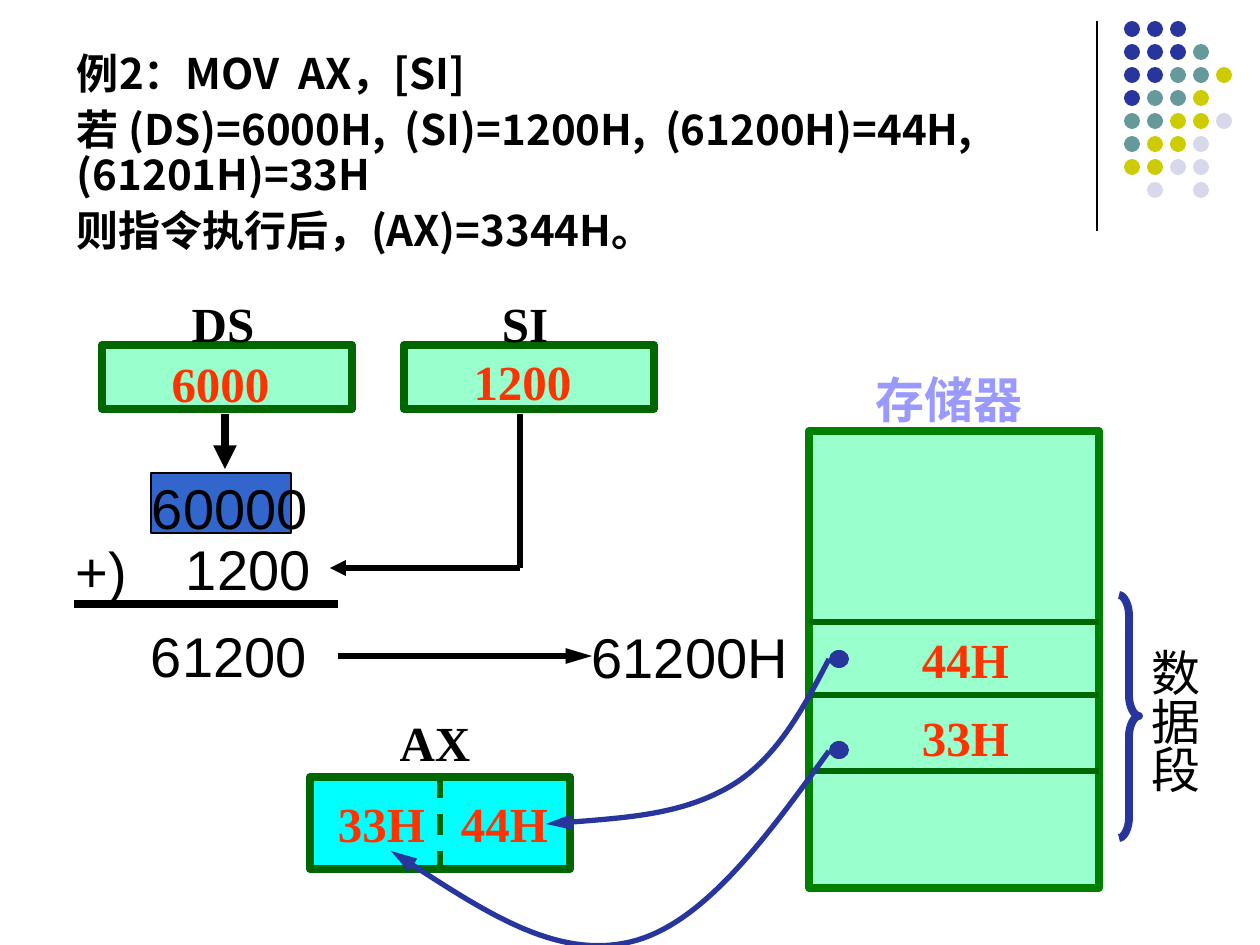
"""Build the slide on register-indirect addressing with MOV AX, [SI]."""
import pptx
import pptx.dml.color
import pptx.enum.dml
import pptx.enum.shapes
import pptx.enum.text
import pptx.oxml
import pptx.oxml.ns
import pptx.util

SCALE = 914400 / 126
CJK, SERIF, SANS = "Noto Sans CJK SC", "Times New Roman", "Arial"
BLACK, RED, NAVY = "000000", "FF3300", "27359D"
DARK_GREEN, MINT = "006600", "99FFCC"
ALIGN = pptx.enum.text.PP_ALIGN
PRESET = pptx.enum.shapes.MSO_SHAPE
DOT_COLOURS = {"N": NAVY, "T": "669999", "Y": "CCCC00", "L": "D8D8EC"}
DOT_ROWS = ["NNN", "NNNT", "NNTTY", "NTTY", "TTYYL", "TYYL", "YYLL", "-L-L"]
HEADING = [
    "例2：MOV  AX，[SI]",
    "若 (DS)=6000H,  (SI)=1200H,  (61200H)=44H,  (61201H)=33H",
    "则指令执行后，(AX)=3344H。",
]


def px(length):
    """Turn px into EMU."""
    return pptx.util.Emu(round(length * SCALE))


def rgb(colour):
    """Turn a hex string into a colour."""
    return pptx.dml.color.RGBColor.from_string(colour)


def set_all(target, values):
    """Set each named attribute on the target."""
    for name, value in values.items():
        setattr(target, name, value)


def add_xml(parent, tag, **attributes):
    """Append a DrawingML element to the parent."""
    element = pptx.oxml.parse_xml(f"<{tag} {pptx.oxml.ns.nsdecls('a')}/>")
    for name, value in attributes.items():
        element.set(name, value)
    parent.append(element)
    return element


def style_line(shape, colour, width, arrow=None):
    """Colour a line and give its end an arrowhead of the given length."""
    shape.line.color.rgb = rgb(colour)
    shape.line.width = pptx.util.Pt(width)
    if arrow:
        outline = shape._element.spPr.find(pptx.oxml.ns.qn("a:ln"))
        add_xml(outline, "a:tailEnd", type="triangle", w="med", len=arrow)


def add_block(slide, box, fill, line=None, width=4.5, preset=PRESET.RECTANGLE):
    """Add a filled preset shape."""
    block = slide.shapes.add_shape(preset, *map(px, box))
    block.shadow.inherit = False
    block.fill.solid()
    block.fill.fore_color.rgb = rgb(fill)
    if line:
        style_line(block, line, width)
    else:
        block.line.fill.background()
    return block


def add_line(slide, start, end, colour=BLACK, width=3, arrow=None):
    """Add a straight connector."""
    line = slide.shapes.add_connector(
        pptx.enum.shapes.MSO_CONNECTOR.STRAIGHT, *map(px, start + end))
    style_line(line, colour, width, arrow)
    add_xml(line._element.spPr, "a:effectLst")
    return line


def add_curve(slide, start, controls, width=3, arrow=None):
    """Add an open outline of cubic curves, three control points to each."""
    builder = slide.shapes.build_freeform(*start, scale=SCALE)
    builder.add_line_segments(controls, close=False)
    curve = builder.convert_to_shape()
    curve.shadow.inherit = False
    curve.fill.background()
    style_line(curve, NAVY, width, arrow)
    outline = curve._element.xpath(".//a:path")[0]
    segments = outline.findall(pptx.oxml.ns.qn("a:lnTo"))
    for first in range(0, len(segments), 3):
        cubic = add_xml(outline, "a:cubicBezTo")
        for segment in segments[first:first + 3]:
            cubic.append(segment[0])
            outline.remove(segment)


def add_text(slide, box, lines, size, font=SERIF, colour=BLACK, bold=False,
             wrap=False, vertical=False, paragraph_format=None):
    """Add a text box without insets, one paragraph to each line."""
    frame = slide.shapes.add_textbox(*map(px, box)).text_frame
    set_all(frame, {"margin_left": 0, "margin_right": 0, "margin_top": 0,
                    "margin_bottom": 0, "word_wrap": wrap})
    if vertical:
        frame._txBody.bodyPr.set("vert", "eaVert")
    for index, line in enumerate(lines):
        paragraph = frame.add_paragraph() if index else frame.paragraphs[0]
        set_all(paragraph, paragraph_format or {})
        if index:
            paragraph.space_before = pptx.util.Pt(6)
        run = paragraph.add_run()
        run.text = line
        set_all(run.font, {"name": font, "size": pptx.util.Pt(size), "bold": bold})
        run.font.color.rgb = rgb(colour)
        add_xml(run._r.get_or_add_rPr(), "a:ea", typeface=CJK)


def add_label(slide, box, text, colour=RED, align=ALIGN.LEFT):
    """Add a bold serif label for a register or a value."""
    add_text(slide, box, [text], 28, colour=colour, bold=True, wrap=True,
             paragraph_format={"alignment": align})


def add_number(slide, box, text, align=ALIGN.LEFT):
    """Add a number of the address sum."""
    add_text(slide, box, [text], 32, SANS, wrap=True,
             paragraph_format={"alignment": align})


def add_dots(slide):
    """Add the dot grid and the rule beside it."""
    add_line(slide, (1097, 21), (1097, 231), width=0.75)
    for row, colours in enumerate(DOT_ROWS):
        for column, key in enumerate(colours):
            if key in DOT_COLOURS:
                add_block(slide, (1124 + 23 * column, 21 + 23 * row, 16, 16),
                          DOT_COLOURS[key], preset=PRESET.OVAL)


def add_memory(slide):
    """Add the memory column with its cells and the data segment brace."""
    add_block(slide, (809, 431, 290, 457), MINT, "008000")
    for y in (622, 695, 771):
        add_line(slide, (809, y), (1099, y), DARK_GREEN)
    add_label(slide, (922, 630, 90, 59), "44H")
    add_label(slide, (922, 708, 90, 59), "33H")
    add_label(slide, (876, 370, 160, 59), "存储器", "9999FF")
    add_curve(slide, (1119, 595), [
        (1124, 595), (1129, 605), (1129, 615),
        (1129, 615), (1129, 696), (1129, 696),
        (1129, 706), (1134, 716), (1139, 716),
        (1134, 716), (1129, 726), (1129, 736),
        (1129, 736), (1129, 818), (1129, 818),
        (1129, 828), (1124, 838), (1119, 838)], 4.5)
    add_text(slide, (1145, 648, 59, 155), ["数据段"], 28, wrap=True, vertical=True)


def add_address_sum(slide):
    """Add the DS and SI registers and the sum that gives the address."""
    for left, name, value, value_top in ((102, "DS", "6000", 354),
                                         (404, "SI", "1200", 352)):
        add_block(slide, (left, 345, 250, 64), MINT, DARK_GREEN)
        add_label(slide, (left + 67, value_top, 103, 59), value, align=ALIGN.CENTER)
        add_label(slide, (left + 66, 294, 110, 59), name, BLACK, ALIGN.CENTER)
    add_block(slide, (151, 473, 140, 60), "3366CC", BLACK, 1)
    add_number(slide, (152, 473, 173, 67), "60000")
    add_number(slide, (76, 536, 54, 67), "+)")
    add_number(slide, (186, 534, 136, 67), "1200")
    add_line(slide, (74, 604), (338, 604), width=4.5)
    add_number(slide, (151, 621, 174, 67), "61200")
    add_number(slide, (559, 622, 229, 67), "61200H", ALIGN.RIGHT)
    add_line(slide, (225, 414), (225, 469), width=4.5, arrow="med")
    add_line(slide, (520, 414), (520, 568))
    add_line(slide, (520, 568), (330, 568), arrow="med")
    add_line(slide, (338, 656), (592, 656), arrow="lg")


def add_result(slide):
    """Add the AX register and the curves that fill it from memory."""
    register = add_block(slide, (310, 777, 260, 92), "00FFFF", DARK_GREEN)
    divider = add_line(slide, (440, 777), (440, 869), DARK_GREEN)
    divider.begin_connect(register, 0)
    divider.end_connect(register, 2)
    divider.line.dash_style = pptx.enum.dml.MSO_LINE.DASH
    add_label(slide, (380, 713, 110, 59), "AX", BLACK, ALIGN.CENTER)
    add_curve(slide, (829, 751), [(766, 838), (703, 925), (630, 942),
                                  (557, 959), (474, 905), (391, 851)], arrow="lg")
    add_curve(slide, (829, 659), [(803, 709), (776, 760), (729, 787),
                                  (682, 814), (614, 819), (546, 824)], arrow="lg")
    for top in (741, 650):
        add_block(slide, (829, top, 20, 18), NAVY, preset=PRESET.OVAL)
    add_label(slide, (461, 794, 90, 59), "44H")
    add_label(slide, (338, 794, 90, 59), "33H")


def main():
    """Build and save the slide."""
    presentation = pptx.Presentation()
    set_all(presentation, {"slide_width": px(1260), "slide_height": px(945)})
    slide = presentation.slides.add_slide(presentation.slide_layouts[6])
    add_dots(slide)
    add_text(slide, (77, 53, 1116, 225), HEADING, 24, CJK, bold=True, wrap=True,
             paragraph_format={"line_spacing": 0.9})
    add_memory(slide)
    add_address_sum(slide)
    add_result(slide)
    presentation.save("out.pptx")


if __name__ == "__main__":
    main()
